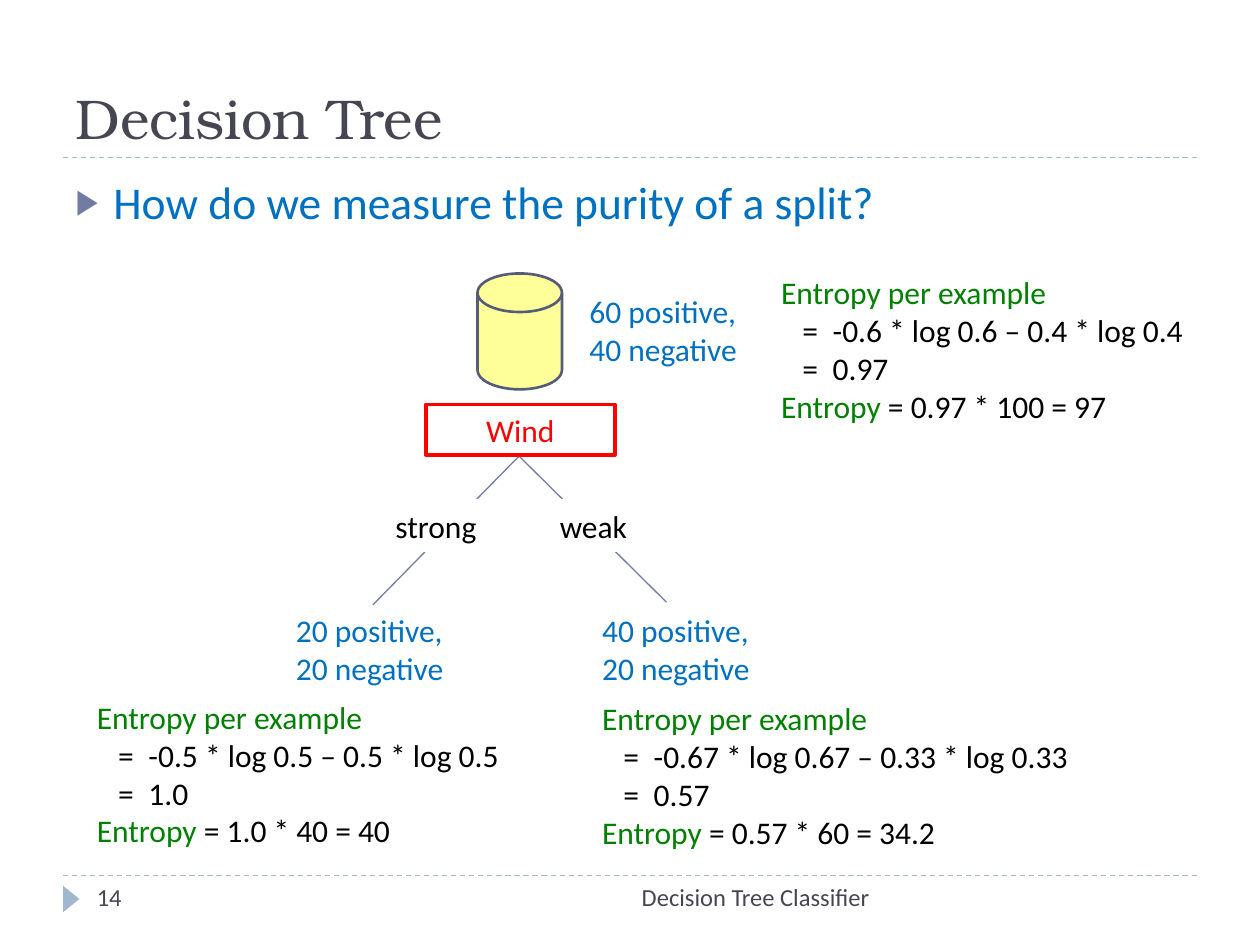
from lxml import etree
from pptx import Presentation
from pptx.dml.color import RGBColor
from pptx.enum.dml import MSO_LINE
from pptx.enum.shapes import MSO_CONNECTOR, MSO_SHAPE
from pptx.enum.text import MSO_ANCHOR, PP_ALIGN
from pptx.oxml.ns import qn
from pptx.util import Inches, Pt

LEFT, CENTER, RIGHT = PP_ALIGN.LEFT, PP_ALIGN.CENTER, PP_ALIGN.RIGHT
RECT, DISK = MSO_SHAPE.RECTANGLE, MSO_SHAPE.FLOWCHART_MAGNETIC_DISK
TRIANGLE = MSO_SHAPE.ISOSCELES_TRIANGLE
THEME = {
    "head": "TeX Gyre Bonum", "body": "Calibri",
    "title": 32, "question": 26, "text": 18, "footer": 14,
    "dark": "464653", "blue": "0070C0", "green": "008000", "red": "FF0000",
    "black": "000000", "white": "FFFFFF", "yellow": "FFFF00",
    "rule": "9FB8CD", "branch": "727CA3", "outline": "545C79",
}


def color(name):
    return RGBColor.from_string(THEME[name])


def write(p, text, tone, size="text", font="body", align=LEFT):
    p.alignment = align
    r = p.add_run()
    r.text = text
    formats = {"name": THEME[font], "size": Pt(THEME[size])}
    for key, value in formats.items():
        setattr(r.font, key, value)
    r.font.color.rgb = color(tone)


prs = Presentation()
prs.slide_width, prs.slide_height = Inches(10), Inches(7.5)
s = prs.slides.add_slide(prs.slide_layouts[1])

# Title and question
title, body = s.shapes.title, s.placeholders[1]
for holder, top, height, anchor in ((title, 0.17, 1.08, MSO_ANCHOR.BOTTOM),
                                    (body, 1.33, 5.4, MSO_ANCHOR.TOP)):
    holder.left, holder.top = Inches(0.5), Inches(top)
    holder.width, holder.height = Inches(9), Inches(height)
    holder.text_frame.vertical_anchor = anchor
write(title.text_frame.paragraphs[0], "Decision Tree", "dark", "title", "head")
p = body.text_frame.paragraphs[0]
write(p, "How do we measure the purity of a split?", "blue", "question")
p.space_before = Pt(6)
pPr = p._p.get_or_add_pPr()
pPr.set("marL", str(Inches(0.3)))
pPr.set("indent", str(-Inches(0.3)))
bullet_color = etree.SubElement(pPr, qn("a:buClr"))
etree.SubElement(bullet_color, qn("a:srgbClr"), val=THEME["branch"])
etree.SubElement(pPr, qn("a:buSzPct"), val="76000")
etree.SubElement(pPr, qn("a:buChar"), char="\u25b6")

# Dashed rules, then the two branches of the tree
for x1, y1, x2, y2, tone, dash in (
        (0.5, 6.95, 9.5, 6.95, "rule", MSO_LINE.DASH),
        (0.5, 1.25, 9.5, 1.25, "rule", MSO_LINE.DASH),
        (4.12, 3.62, 2.96, 4.8, "branch", None),
        (4.12, 3.62, 5.29, 4.78, "branch", None)):
    line = s.shapes.add_connector(MSO_CONNECTOR.STRAIGHT, Inches(x1), Inches(y1),
                                  Inches(x2), Inches(y2))
    line.line.color.rgb = color(tone)
    line.line.width = Pt(0.75)
    line.line.dash_style = dash
    etree.SubElement(line._element.spPr, qn("a:effectLst"))

# Footer marker, data set, attribute and branch labels
for kind, x, y, w, h, fill, outline, width, text, tone in (
        (TRIANGLE, 0.46, 7.07, 0.21, 0.13, "rule", None, 0, "", None),
        (DISK, 3.79, 2.17, 0.67, 0.92, "yellow", "outline", 1.5, "", None),
        (RECT, 3.38, 3.21, 1.5, 0.4, None, "red", 2, "Wind", "red"),
        (RECT, 2.96, 3.96, 1, 0.42, "white", None, 0, "strong", "black"),
        (RECT, 4.21, 3.96, 1, 0.42, "white", None, 0, "weak", "black")):
    sp = s.shapes.add_shape(kind, Inches(x), Inches(y), Inches(w), Inches(h))
    sp.shadow.inherit = False
    if fill:
        sp.fill.solid()
        sp.fill.fore_color.rgb = color(fill)
    else:
        sp.fill.background()
    if outline:
        sp.line.color.rgb = color(outline)
        sp.line.width = Pt(width)
    else:
        sp.line.fill.background()
    if text:
        write(sp.text_frame.paragraphs[0], text, tone, align=CENTER)
    if kind == TRIANGLE:
        sp.rotation = 90
    if kind == DISK:
        rgb = sp._element.spPr.find(qn("a:solidFill")).find(qn("a:srgbClr"))
        etree.SubElement(rgb, qn("a:alpha"), val="40000")

# Class counts and footer
for x, y, w, h, text, tone, size, align in (
        (4.58, 2.27, 1.42, 0.71, "60 positive, 40 negative", "blue", "text", LEFT),
        (2.25, 4.8, 1.42, 0.71, "20 positive, 20 negative", "blue", "text", LEFT),
        (4.68, 4.8, 1.42, 0.71, "40 positive, 20 negative", "blue", "text", LEFT),
        (3.17, 6.95, 3.83, 0.4, "Decision Tree Classifier", "dark", "footer", RIGHT),
        (0.67, 6.95, 2.17, 0.4, "14", "dark", "footer", LEFT)):
    tf = s.shapes.add_textbox(Inches(x), Inches(y), Inches(w), Inches(h)).text_frame
    tf.word_wrap = True
    write(tf.paragraphs[0], text, tone, size, align=align)

# Entropy calculations, with the equation lines indented
for x, y, w, formula, value, total in (
        (6.1, 2.12, 3.65, "-0.6 * log 0.6 – 0.4 * log 0.4", "0.97", "0.97 * 100 = 97"),
        (0.67, 5.49, 3.65, "-0.5 * log 0.5 – 0.5 * log 0.5", "1.0", "1.0 * 40 = 40"),
        (4.68, 5.5, 4.4, "-0.67 * log 0.67 – 0.33 * log 0.33", "0.57",
         "0.57 * 60 = 34.2")):
    tf = s.shapes.add_textbox(Inches(x), Inches(y), Inches(w), Inches(1.31)).text_frame
    tf.word_wrap = True
    write(tf.paragraphs[0], "Entropy per example", "green")
    for term in (formula, value):
        p = tf.add_paragraph()
        write(p, "=\t" + term, "black")
        pPr = p._p.get_or_add_pPr()
        pPr.set("marL", str(Inches(0.41)))
        pPr.set("indent", str(-Inches(0.24)))
    p = tf.add_paragraph()
    write(p, "Entropy", "green")
    write(p, " = " + total, "black")

prs.save("out.pptx")
